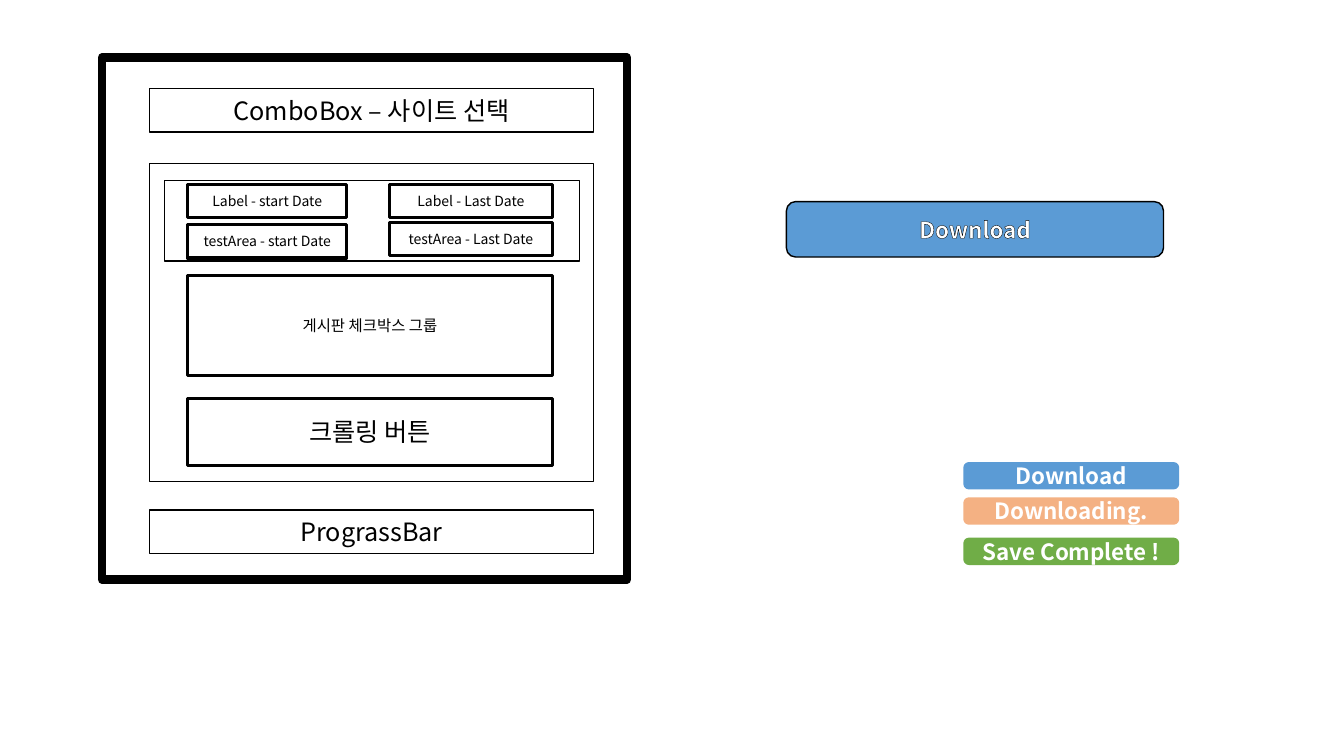
from lxml import etree
from pptx import Presentation
from pptx.dml.color import RGBColor
from pptx.enum.shapes import MSO_SHAPE
from pptx.enum.text import MSO_ANCHOR, PP_ALIGN
from pptx.oxml.ns import qn
from pptx.util import Inches, Pt

FONT = "Noto Sans CJK KR"
BLACK = RGBColor(0x00, 0x00, 0x00)
WHITE = RGBColor(0xFF, 0xFF, 0xFF)
BLUE = RGBColor(0x5B, 0x9B, 0xD5)
ORANGE = RGBColor(0xF4, 0xB1, 0x83)
GREEN = RGBColor(0x70, 0xAD, 0x47)

# Wireframe panels: left, top, width, height, line width, text, text size
PANELS = [
    (1.01, 0.57, 5.21, 5.18, 6, "", 18),
    (1.48, 0.88, 4.41, 0.43, 1, "ComboBox – 사이트 선택", 18),
    (1.48, 5.06, 4.41, 0.43, 1, "PrograssBar", 18),
    (1.48, 1.62, 4.41, 3.16, 1, "", 18),
    (1.63, 1.79, 4.12, 0.8, 1, "", 18),
    (1.86, 2.73, 3.62, 1, 2.25, "게시판 체크박스 그룹", 11),
    (1.86, 3.95, 3.62, 0.67, 2.25, "크롤링 버튼", 18),
]

# Date columns: left, width, name, top of each field
DATE_FIELDS = ["Label", "testArea"]
DATE_COLUMNS = [
    (1.86, 1.58, "start Date", (1.83, 2.23)),
    (3.86, 1.62, "Last Date", (1.83, 2.21)),
]

# Button states: top, text, colour
STATES = [
    (4.6, "Download", BLUE),
    (4.95, "Downloading.", ORANGE),
    (5.35, "Save Complete !", GREEN),
]

prs = Presentation()
prs.slide_width, prs.slide_height = Inches(13.33), Inches(7.5)
slide = prs.slides.add_slide(prs.slide_layouts[6])


def add_box(kind, box, fill, line, line_width, text, size, color, bold=False):
    sp = slide.shapes.add_shape(kind, *[Inches(v) for v in box])
    sp.shadow.inherit = False
    sp.fill.solid()
    sp.fill.fore_color.rgb = fill
    sp.line.color.rgb = line
    sp.line.width = Pt(line_width)
    if text:
        tf = sp.text_frame
        tf.vertical_anchor = MSO_ANCHOR.MIDDLE
        p = tf.paragraphs[0]
        p.alignment = PP_ALIGN.CENTER
        r = p.add_run()
        r.text = text
        r.font.size = Pt(size)
        r.font.bold = bold
        r.font.color.rgb = color
        r.font.name = FONT
        # East Asian face for the Korean text
        etree.SubElement(r.font._element, qn("a:ea"), typeface=FONT)
    return sp


def add_panel(box, line_width, text, size):
    add_box(MSO_SHAPE.RECTANGLE, box, WHITE, BLACK, line_width, text, size, BLACK)


def add_button(box, fill, line, line_width, text):
    return add_box(MSO_SHAPE.ROUNDED_RECTANGLE, box, fill, line, line_width,
                   text, 16, WHITE, bold=True)


def outline_text(r, color, width):
    ln = etree.Element(qn("a:ln"), w=str(Pt(width)))
    fill = etree.SubElement(ln, qn("a:solidFill"))
    etree.SubElement(fill, qn("a:srgbClr"), val=str(color))
    r.font._element.insert(0, ln)


# Window wireframe
for *box, line_width, text, size in PANELS:
    add_panel(box, line_width, text, size)

# Date labels and inputs
for left, width, name, tops in DATE_COLUMNS:
    for field, top in zip(DATE_FIELDS, tops):
        add_panel((left, top, width, 0.33), 2.25, f"{field} - {name}", 10)

# Large download button with outlined lettering
download = add_button((7.8, 2, 3.74, 0.55), BLUE, BLACK, 1, "Download")
outline_text(download.text_frame.paragraphs[0].runs[0], BLACK, 0.75)

# Button states
for top, text, color in STATES:
    add_button((9.57, top, 2.11, 0.24), color, color, 2.25, text)

prs.save("out.pptx")
